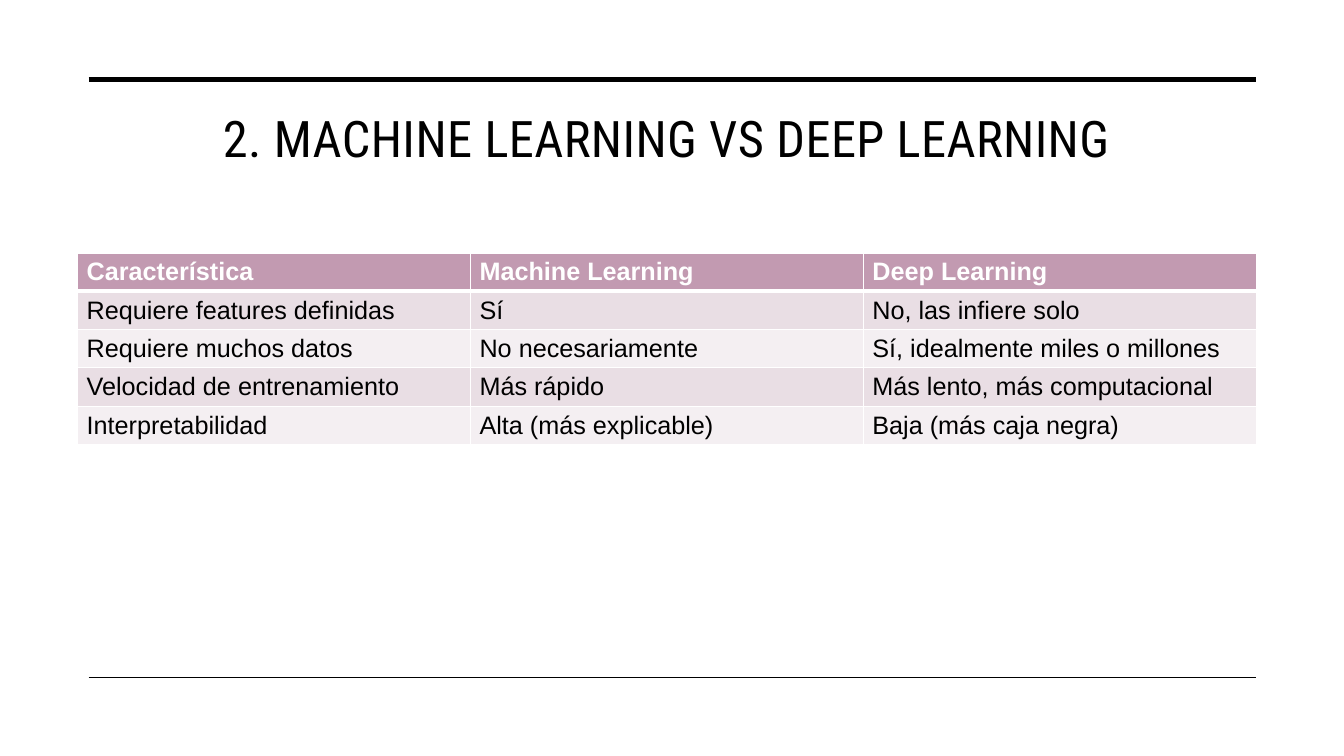
from lxml import etree
from pptx import Presentation
from pptx.dml.color import RGBColor
from pptx.enum.shapes import MSO_CONNECTOR
from pptx.enum.text import MSO_ANCHOR, MSO_AUTO_SIZE, PP_ALIGN
from pptx.oxml.ns import qn
from pptx.util import Inches, Pt

TITLE = "2. MACHINE LEARNING VS DEEP LEARNING"
ROWS = [
    ("Característica", "Machine Learning", "Deep Learning"),
    ("Requiere features definidas", "Sí", "No, las infiere solo"),
    ("Requiere muchos datos", "No necesariamente", "Sí, idealmente miles o millones"),
    ("Velocidad de entrenamiento", "Más rápido", "Más lento, más computacional"),
    ("Interpretabilidad", "Alta (más explicable)", "Baja (más caja negra)"),
]
COLORS = {"ink": "000000", "paper": "FFFFFF", "header": "C29AB1",
          "odd": "E9DEE4", "even": "F4EFF2"}
RULES = [(0.79, 3.5), (6.72, 1)]  # height on the slide, line width
RULE_LEFT, LEFT, RIGHT = 0.88, 0.77, 12.46
TITLE_TOP, TABLE_TOP, ROW_HEIGHT = 1.01, 2.51, 0.38
CELL_FORMAT = {
    "margin_left": Inches(0.09), "margin_right": Inches(0.09),
    "margin_top": Inches(0.04), "margin_bottom": Inches(0.04),
    "vertical_anchor": MSO_ANCHOR.MIDDLE,
}


def rgb(name):
    return RGBColor.from_string(COLORS[name])


def set_font(font, **values):
    for name, value in values.items():
        setattr(font, name, value)


def add_rule(s, y, width):
    line = s.shapes.add_connector(MSO_CONNECTOR.STRAIGHT, Inches(RULE_LEFT), Inches(y),
                                  Inches(RIGHT), Inches(y))
    line.line.color.rgb = rgb("ink")
    line.line.width = Pt(width)
    etree.SubElement(line._element.spPr, qn("a:effectLst"))


def add_borders(cell, widths):
    """Draw white borders; fills must be set afterwards to keep the XML order."""
    props = cell._tc.get_or_add_tcPr()
    for side, width in widths.items():
        border = etree.SubElement(props, qn(f"a:ln{side}"), w=str(Pt(width)))
        fill = etree.SubElement(border, qn("a:solidFill"))
        etree.SubElement(fill, qn("a:srgbClr"), val=COLORS["paper"])


def add_title(s):
    title = s.shapes.title
    title.left, title.top = Inches(LEFT), Inches(TITLE_TOP)
    title.width, title.height = Inches(RIGHT - LEFT), Inches(1.5)
    tf = title.text_frame
    tf.text = TITLE
    tf.auto_size = MSO_AUTO_SIZE.NONE
    tf.vertical_anchor = MSO_ANCHOR.TOP
    p = tf.paragraphs[0]
    p.alignment = PP_ALIGN.CENTER
    r = p.runs[0]
    set_font(r.font, name="Roboto Condensed", size=Pt(36))
    r.font.color.rgb = rgb("ink")
    r.font._element.set("spc", "30")


def add_comparison(s):
    table = s.shapes.add_table(len(ROWS), len(ROWS[0]), Inches(LEFT), Inches(TABLE_TOP),
                               Inches(RIGHT - LEFT), Inches(ROW_HEIGHT * len(ROWS))).table
    for i, row in enumerate(ROWS):
        header = i == 0
        band = "header" if header else "odd" if i % 2 else "even"
        widths = {"L": 1, "R": 1, "T": 3 if i == 1 else 1, "B": 3 if header else 1}
        for j, text in enumerate(row):
            cell = table.cell(i, j)
            for name, value in CELL_FORMAT.items():
                setattr(cell, name, value)
            add_borders(cell, widths)
            cell.fill.solid()
            cell.fill.fore_color.rgb = rgb(band)
            cell.text = text
            font = cell.text_frame.paragraphs[0].runs[0].font
            set_font(font, name="Arial", size=Pt(18), bold=header)
            font.color.rgb = rgb("paper" if header else "ink")


def main():
    prs = Presentation()
    prs.slide_width, prs.slide_height = Inches(13.33), Inches(7.5)
    s = prs.slides.add_slide(prs.slide_layouts[5])
    for y, width in RULES:
        add_rule(s, y, width)
    add_title(s)
    add_comparison(s)
    prs.save("out.pptx")


if __name__ == "__main__":
    main()
